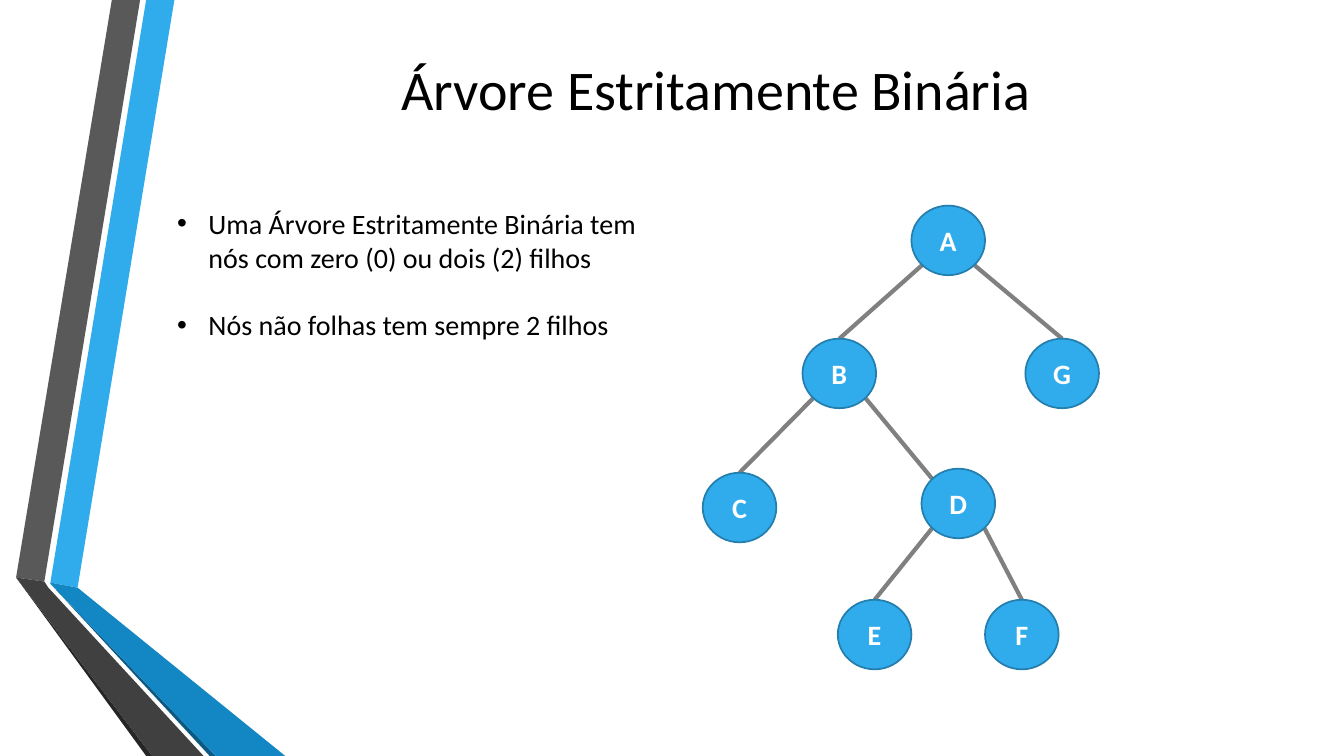
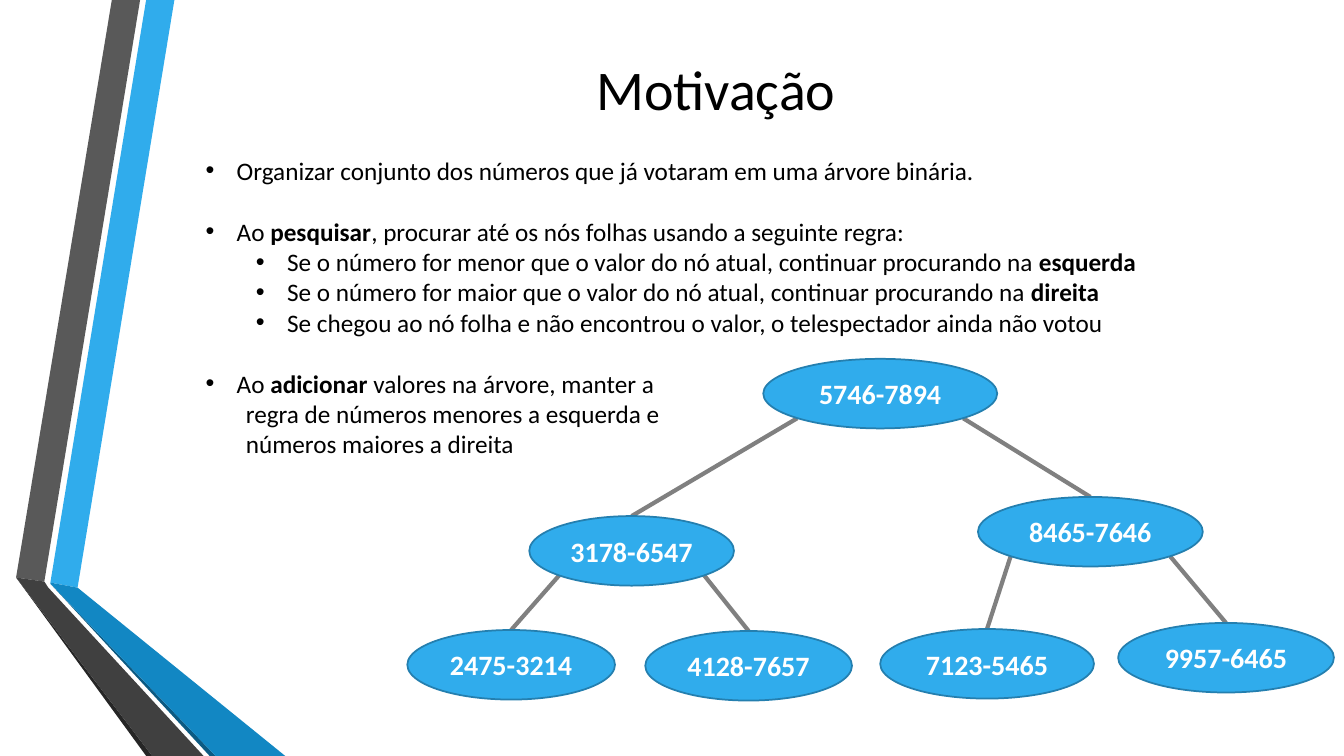
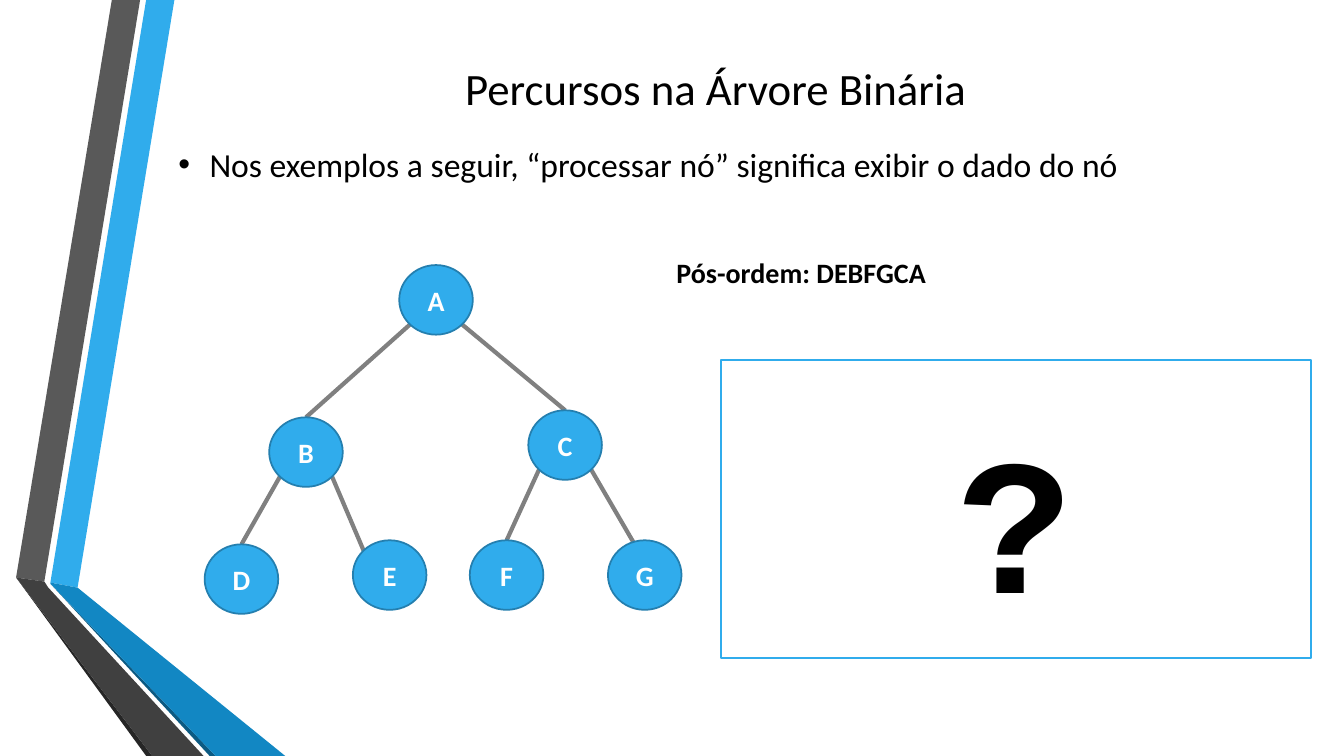
from lxml import etree
from pptx import Presentation
from pptx import util as u
from pptx.dml.color import RGBColor
from pptx.enum import shapes, text
from pptx.oxml import ns

BLUE, BLUE_EDGE = "30ACEC", "247FAF"
WHITE, BLACK, GREY = "FFFFFF", "000000", "808080"
FONT = "Calibri"

# Side ribbon: fill and corner points, from back to front
RIBBON = [
    (BLUE, [(0.5, 5.78), (0.77, 5.83), (1.73, 0), (1.45, 0)]),
    ("595959", [(1.39, 0), (1.11, 0), (0.16, 5.73), (0.44, 5.77)]),
    ("262626", [(0.16, 5.73), (1.45, 7.5), (1.51, 7.5)]),
    ("0C5A82", [(0.5, 5.79), (2.08, 7.5), (2.14, 7.5)]),
    ("1287C3", [(0.5, 5.79), (2.14, 7.5), (2.83, 7.5), (0.77, 5.83), (0.5, 5.78)]),
    ("404040", [(2.02, 7.5), (0.48, 5.83), (0.44, 5.77), (0.16, 5.73), (1.51, 7.5)]),
]
TITLE_BOX = (1.62, -0.09, 10.96, 1.92)

# Where a branch meets a node, in half widths and half heights from its centre
DIAGONAL = 0.71
TOP, TOP_LEFT = (0, -1), (-DIAGONAL, -DIAGONAL)
NODE_W, NODE_H = 0.73, 0.69

BULLET = dict(margin=0.31, indent=-0.31)
SUB_BULLET = dict(margin=0.81, indent=-0.31)
CONTINUED = dict(margin=0.4, indent=0)


def rgb(value):
    return RGBColor.from_string(value)


def inches(values):
    return [u.Inches(value) for value in values]


def paint(shape, fill, line=None, width=1.25):
    shape.shadow.inherit = False
    shape.fill.solid()
    shape.fill.fore_color.rgb = rgb(fill)
    if line:
        shape.line.color.rgb = rgb(line)
        shape.line.width = u.Pt(width)
    else:
        shape.line.fill.background()


def write(paragraph, content, size, color=BLACK, bold=False, font=FONT):
    """Add runs to a paragraph; parts between asterisks are bold."""
    for i, part in enumerate(content.split("*")):
        if part:
            run = paragraph.add_run()
            run.text = part
            run.font.color.rgb = rgb(color)
            style = dict(name=font, size=u.Pt(size), bold=bold or i % 2 == 1)
            for key, value in style.items():
                setattr(run.font, key, value)


def set_indent(paragraph, margin, indent):
    props = paragraph._p.get_or_add_pPr()
    props.set("marL", str(u.Inches(margin)))
    props.set("indent", str(u.Inches(indent)))
    if indent:
        etree.SubElement(props, ns.qn("a:buFont")).set("typeface", "Arial")
        etree.SubElement(props, ns.qn("a:buChar")).set("char", "•")


def add_text_box(slide, box, wrap=True, anchor=text.MSO_ANCHOR.TOP):
    frame = slide.shapes.add_textbox(*inches(box)).text_frame
    frame.word_wrap = wrap
    frame.vertical_anchor = anchor
    return frame


def add_ribbon(slide):
    for fill, points in RIBBON:
        start, *rest = [inches(point) for point in points]
        outline = slide.shapes.build_freeform(*start, scale=1.0)
        outline.add_line_segments(rest, close=True)
        paint(outline.convert_to_shape(), fill)


def add_titled_slide(deck, title, size=40):
    slide = deck.slides.add_slide(deck.slide_layouts[6])
    add_ribbon(slide)
    frame = add_text_box(slide, TITLE_BOX, anchor=text.MSO_ANCHOR.MIDDLE)
    heading = frame.paragraphs[0]
    heading.alignment = text.PP_ALIGN.CENTER
    write(heading, title, size)
    return slide


def add_list(slide, box, size, items):
    """Items are (text, indents, whether one line is left free above)."""
    frame = add_text_box(slide, box)
    for i, (content, indents, gap) in enumerate(items):
        paragraph = frame.add_paragraph() if i else frame.paragraphs[0]
        set_indent(paragraph, **indents)
        if gap:
            paragraph.space_before = u.Pt(size * 1.22)
        write(paragraph, content, size)


def add_branch(slide, start, end):
    line = slide.shapes.add_connector(
        shapes.MSO_CONNECTOR.STRAIGHT, *inches(start), *inches(end))
    line.line.color.rgb = rgb(GREY)
    line.line.width = u.Pt(3)
    etree.SubElement(line._element.spPr, ns.qn("a:effectLst"))


def add_node(slide, label, box):
    node = slide.shapes.add_shape(shapes.MSO_SHAPE.OVAL, *inches(box))
    paint(node, BLUE, BLUE_EDGE)
    frame = node.text_frame
    for side in ("margin_left", "margin_right"):
        setattr(frame, side, 0)
    frame.word_wrap = False
    frame.vertical_anchor = text.MSO_ANCHOR.MIDDLE
    frame.paragraphs[0].alignment = text.PP_ALIGN.CENTER
    write(frame.paragraphs[0], label, 20, WHITE, bold=True)


def add_tree(slide, nodes, children, landings=None):
    """Nodes map label to (left, top[, width]); children to (left, right)."""
    boxes = {label: (*place, NODE_W, NODE_H)[:2] + ((*place, NODE_W)[2], NODE_H)
             for label, place in nodes.items()}

    def spot(label, offset):
        left, top, width, height = boxes[label]
        return (left + width / 2 * (1 + offset[0]),
                top + height / 2 * (1 + offset[1]))

    for parent, pair in children.items():
        for child, side in zip(pair, (-DIAGONAL, DIAGONAL)):
            landing = (landings or {}).get(child, TOP)
            add_branch(slide, spot(parent, (side, DIAGONAL)), spot(child, landing))
    for label, box in boxes.items():
        add_node(slide, label, box)


def add_question_panel(slide, box):
    panel = slide.shapes.add_shape(shapes.MSO_SHAPE.RECTANGLE, *inches(box))
    paint(panel, WHITE, BLUE)
    frame = panel.text_frame
    frame.vertical_anchor = text.MSO_ANCHOR.TOP
    frame.margin_top = u.Inches(0.4)
    frame.paragraphs[0].alignment = text.PP_ALIGN.CENTER
    write(frame.paragraphs[0], "?", 138, bold=True, font="Courier New")


def build_strict_tree(deck):
    slide = add_titled_slide(deck, "Árvore Estritamente Binária")
    add_tree(
        slide,
        {"A": (9.04, 2.04), "B": (7.96, 3.36), "G": (10.17, 3.36),
         "C": (6.97, 4.69), "D": (9.14, 4.65), "E": (8.31, 5.95),
         "F": (9.77, 5.95)},
        {"A": "BG", "B": "CD", "D": "EF"},
        {"D": TOP_LEFT})
    add_list(slide, (1.66, 2, 4.86, 1.45), 20, [
        ("Uma Árvore Estritamente Binária tem nós com zero (0) ou dois (2) filhos",
         BULLET, False),
        ("Nós não folhas tem sempre 2 filhos", BULLET, True),
    ])


def build_motivation(deck):
    slide = add_titled_slide(deck, "Motivação")
    add_tree(
        slide,
        {"5746-7894": (7.57, 3.56, 2.32), "3178-6547": (5.25, 5.12, 2.03),
         "8465-7646": (9.7, 4.93, 2.23), "2475-3214": (4.04, 6.25, 2.06),
         "4128-7657": (6.4, 6.26, 2.05), "7123-5465": (8.73, 6.24, 2.12),
         "9957-6465": (11.09, 6.18, 2.14)},
        {"5746-7894": ("3178-6547", "8465-7646"),
         "3178-6547": ("2475-3214", "4128-7657"),
         "8465-7646": ("7123-5465", "9957-6465")})
    add_list(slide, (1.94, 1.49, 10.86, 4.34), 18, [
        ("Organizar conjunto dos números que já votaram em uma árvore binária.",
         BULLET, False),
        ("Ao *pesquisar*, procurar até os nós folhas usando a seguinte regra:",
         BULLET, True),
        ("Se o número for menor que o valor do nó atual, continuar procurando na "
         "*esquerda*", SUB_BULLET, False),
        ("Se o número for maior que o valor do nó atual, continuar procurando na "
         "*direita*", SUB_BULLET, False),
        ("Se chegou ao nó folha e não encontrou o valor, o telespectador ainda não "
         "votou", SUB_BULLET, False),
        ("Ao *adicionar* valores na árvore, manter a", BULLET, True),
        ("regra de números menores a esquerda e", CONTINUED, False),
        ("números maiores a direita", CONTINUED, False),
    ])


def build_traversal(deck):
    slide = add_titled_slide(deck, "Percursos na Árvore Binária", 32)
    add_list(slide, (1.67, 1.38, 10.89, 1.25), 24, [
        ("Nos exemplos a seguir, “processar nó” significa exibir o dado do nó",
         BULLET, False),
    ])
    add_tree(
        slide,
        {"A": (3.96, 2.63), "B": (2.67, 4.14), "C": (5.24, 4.07),
         "D": (2.03, 5.4), "E": (3.5, 5.36), "F": (4.66, 5.36),
         "G": (6.03, 5.36)},
        {"A": "BC", "B": "DE", "C": "FG"},
        {"E": TOP_LEFT, "G": (-0.23, -0.8)})
    order = add_text_box(slide, (6.61, 2.49, 2.87, 0.44), wrap=False)
    write(order.paragraphs[0], "Pós-ordem: DEBFGCA", 20, bold=True)
    add_question_panel(slide, (7.15, 3.57, 5.85, 2.96))


def main():
    deck = Presentation()
    deck.slide_width, deck.slide_height = inches((13.33, 7.5))
    for build in (build_strict_tree, build_motivation, build_traversal):
        build(deck)
    deck.save("out.pptx")


if __name__ == "__main__":
    main()
